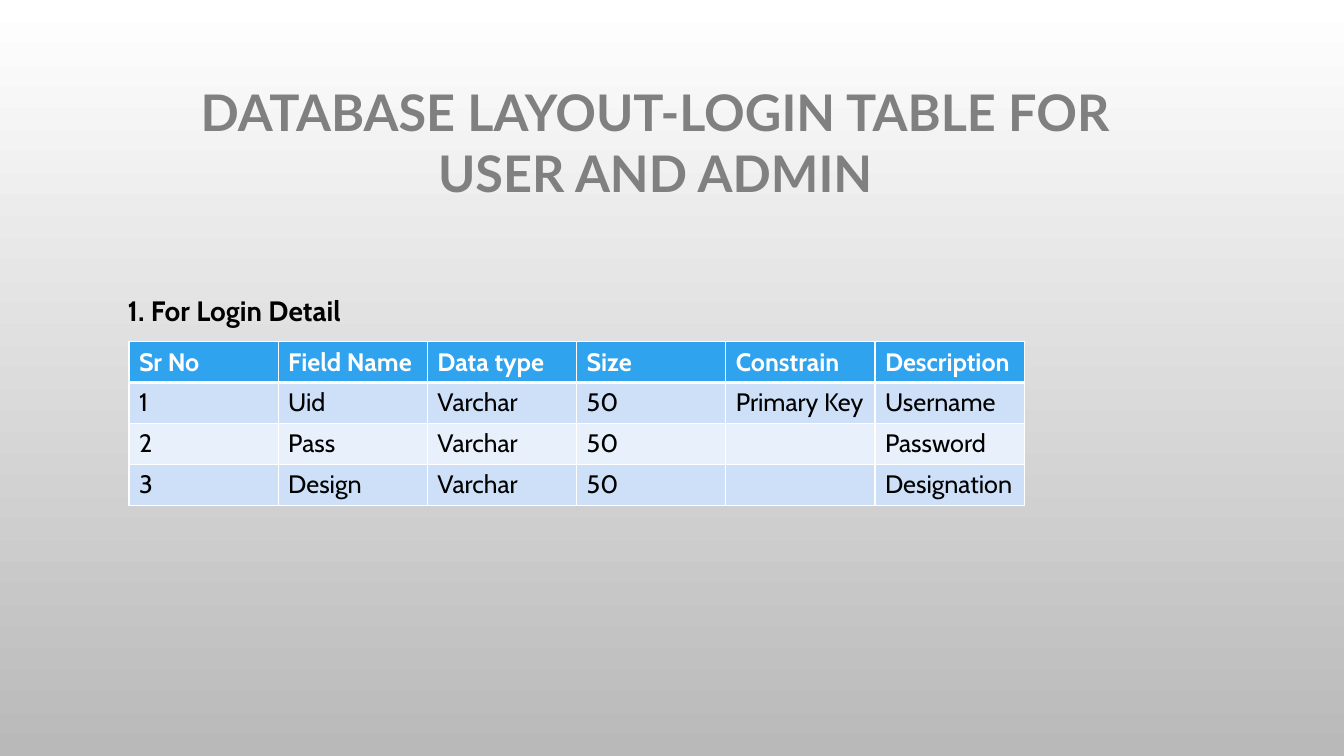
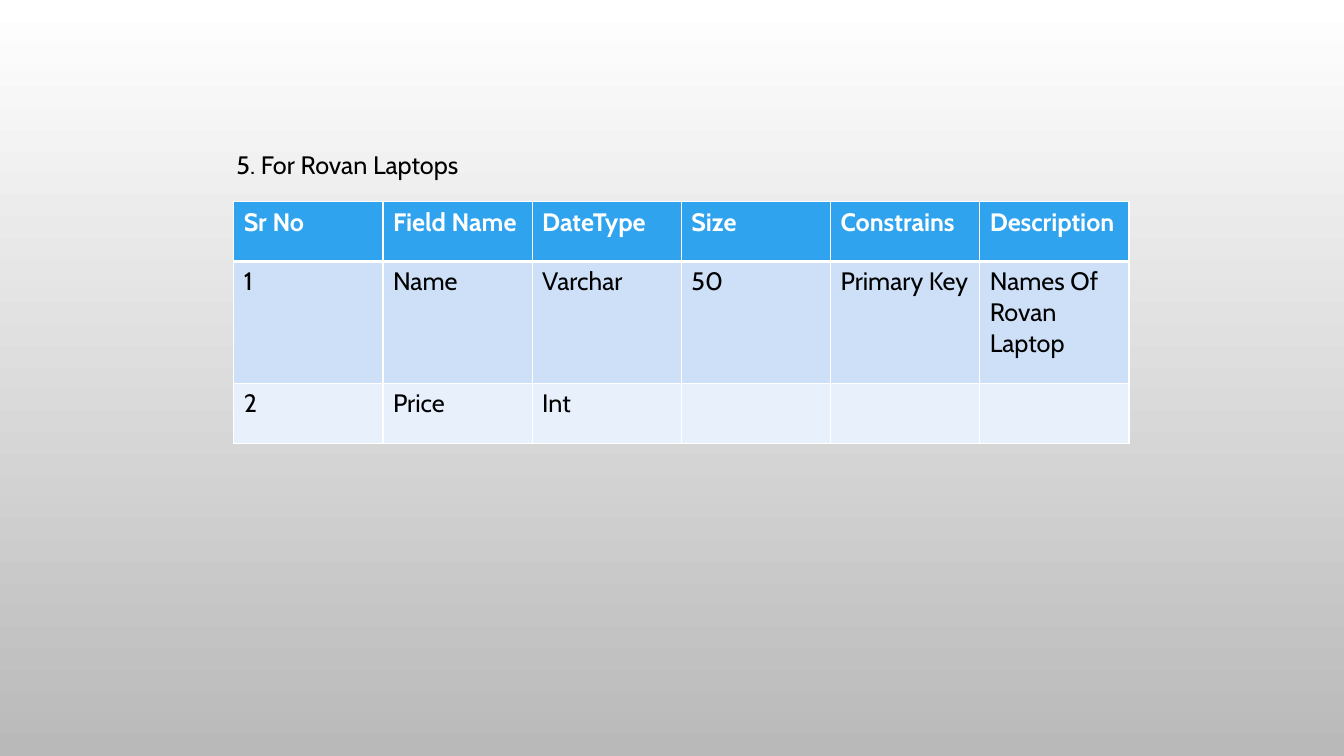
"""Builds two slides that describe database tables."""
from dataclasses import dataclass

from lxml import etree
from pptx import Presentation
from pptx import util as u
from pptx.dml.color import RGBColor
from pptx.enum import text
from pptx.oxml import ns


@dataclass(frozen=True)
class Theme:
    white: str = "FFFFFF"
    black: str = "000000"
    title: str = "808080"
    back_end: str = "B9B9B9"
    header: str = "2FA3EE"
    bands: tuple = ("CDE0F8", "E8F0FC")
    title_font: str = "Lato"
    body_font: str = "Cabin"
    title_size: int = 36
    caption_size: int = 20
    body_size: int = 18
    thin_rule: int = 1
    thick_rule: int = 3


THEME = Theme()
SLIDE_SIZE = (33.87, 19.05)
COLUMN_WIDTH = 3.76

PAGES = [
    {
        "title": "DATABASE LAYOUT-LOGIN TABLE FOR USER AND ADMIN",
        "title_at": (3.84, 1.93, 25.35, 3.33),
        "caption": "1. For Login Detail",
        "caption_at": (2.97, 7.26, 12.4, 1.12),
        "caption_size": THEME.caption_size,
        "caption_bold": True,
        "table_at": (3.25, 8.61),
        "row_heights": [1.03, 1.03, 1.03, 1.03],
        "rows": [
            ("Sr No", "Field Name", "Data type", "Size", "Constrain", "Description"),
            ("1", "Uid", "Varchar", "50", "Primary Key", "Username"),
            ("2", "Pass", "Varchar", "50", "", "Password"),
            ("3", "Design", "Varchar", "50", "", "Designation"),
        ],
    },
    {
        "caption": "5. For Rovan Laptops",
        "caption_at": (5.71, 3.63, 13.97, 1.02),
        "caption_size": THEME.body_size,
        "caption_bold": False,
        "table_at": (5.89, 5.08),
        "row_heights": [1.51, 3.07, 1.51],
        "rows": [
            ("Sr No", "Field Name", "DateType", "Size", "Constrains", "Description"),
            ("1", "Name", "Varchar", "50", "Primary Key", "Names Of Rovan Laptop"),
            ("2", "Price", "Int", "", "", ""),
        ],
    },
]


def add_span(para, words, size, color, bold, font):
    span = para.add_run()
    span.text = words
    span.font.size = u.Pt(size)
    span.font.name = font
    span.font.bold = bold
    span.font.color.rgb = RGBColor.from_string(color)


def add_text(page, at, words, size, color, bold, font, align=text.PP_ALIGN.LEFT):
    box = page.shapes.add_textbox(*map(u.Cm, at))
    box.text_frame.word_wrap = True
    para = box.text_frame.paragraphs[0]
    para.alignment = align
    add_span(para, words, size, color, bold, font)


def add_border(cell, side, width):
    properties = cell._tc.get_or_add_tcPr()
    line = etree.SubElement(properties, ns.qn(f"a:ln{side}"), w=str(u.Pt(width)))
    fill = etree.SubElement(line, ns.qn("a:solidFill"))
    etree.SubElement(fill, ns.qn("a:srgbClr"), val=THEME.white)


def style_cell(cell, words, row_index):
    is_header = row_index == 0
    thick = {0: "B", 1: "T"}.get(row_index)
    for side in "LRTB":
        add_border(cell, side, THEME.thick_rule if side == thick else THEME.thin_rule)
    color = THEME.header if is_header else THEME.bands[(row_index - 1) % 2]
    cell.fill.solid()
    cell.fill.fore_color.rgb = RGBColor.from_string(color)
    para = cell.text_frame.paragraphs[0]
    if words:
        ink = THEME.white if is_header else THEME.black
        add_span(para, words, THEME.body_size, ink, is_header, THEME.body_font)
    else:
        para.font.size = u.Pt(THEME.body_size)


def add_table(page, at, rows, heights):
    size = (COLUMN_WIDTH * len(rows[0]), sum(heights))
    frame = page.shapes.add_table(len(rows), len(rows[0]), *map(u.Cm, at + size))
    table = frame.table
    for column in table.columns:
        column.width = u.Cm(COLUMN_WIDTH)
    for row_index, (row, height) in enumerate(zip(rows, heights)):
        table.rows[row_index].height = u.Cm(height)
        for column_index, words in enumerate(row):
            style_cell(table.cell(row_index, column_index), words, row_index)


def add_page(deck):
    page = deck.slides.add_slide(deck.slide_layouts[6])
    fill = page.background.fill
    fill.gradient()
    fill.gradient_angle = 270
    for stop, color in zip(fill.gradient_stops, (THEME.white, THEME.back_end)):
        stop.color.rgb = RGBColor.from_string(color)
    return page


def main():
    deck = Presentation()
    deck.slide_width, deck.slide_height = map(u.Cm, SLIDE_SIZE)
    for content in PAGES:
        page = add_page(deck)
        if "title" in content:
            add_text(page, content["title_at"], content["title"], THEME.title_size,
                     THEME.title, True, THEME.title_font, text.PP_ALIGN.CENTER)
        add_text(page, content["caption_at"], content["caption"], content["caption_size"],
                 THEME.black, content["caption_bold"], THEME.body_font)
        add_table(page, content["table_at"], content["rows"], content["row_heights"])
    deck.save("out.pptx")


if __name__ == "__main__":
    main()
